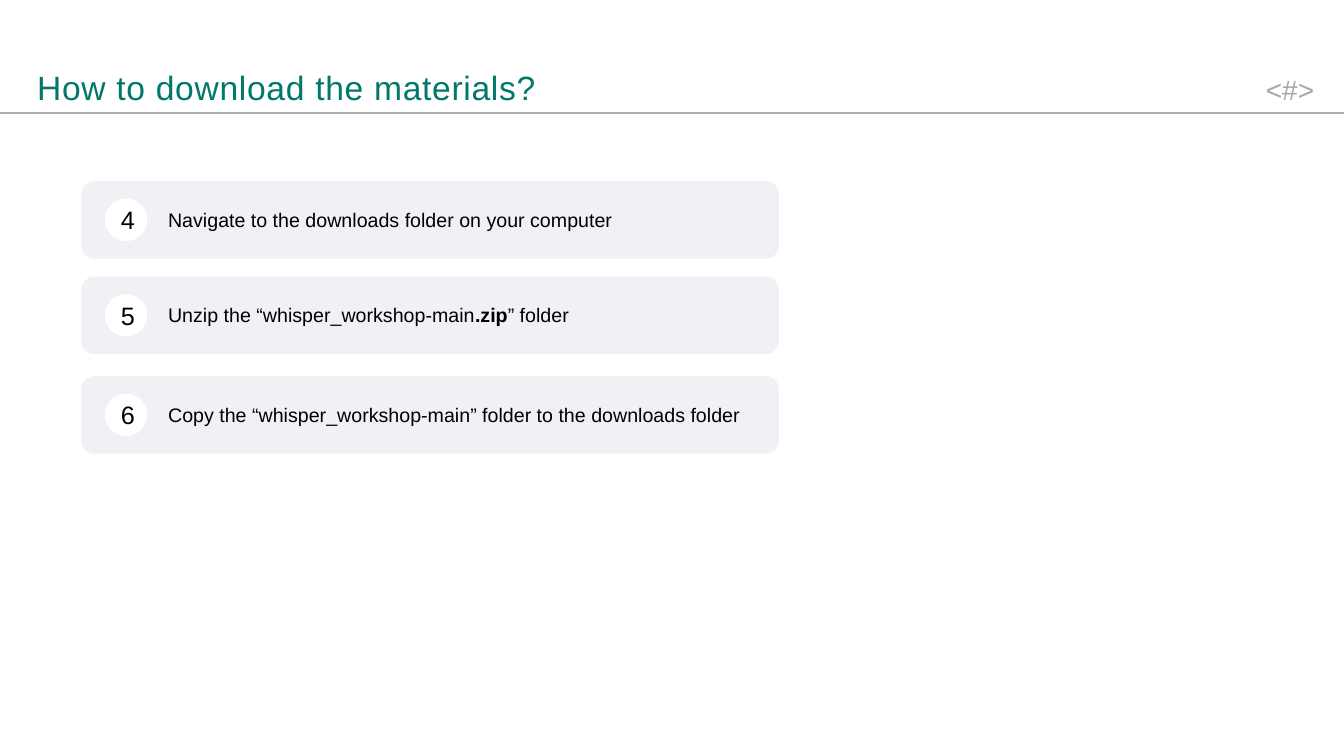
from dataclasses import dataclass

from lxml import etree
from pptx import Presentation
from pptx.dml.color import RGBColor
from pptx.enum import shapes, text
from pptx.oxml import ns
from pptx.slide import Slide
from pptx.text.text import TextFrame
from pptx.util import Pt


@dataclass(frozen=True)
class Theme:
    font: str = "Arial"
    heading: str = "00786A"
    rule: str = "AFABAB"
    page: str = "A6A6A6"
    card: str = "EFF1F5"
    badge: str = "FFFFFF"
    ink: str = "000000"
    heading_size: float = 24
    page_size: float = 20
    number_size: float = 18
    body_size: float = 14


@dataclass(frozen=True)
class Phrase:
    words: str
    bold: bool = False


@dataclass(frozen=True)
class Step:
    number: int
    top: float
    phrases: tuple[Phrase, ...]
    text_width: float = 396


THEME = Theme()
SLIDE_WIDTH, SLIDE_HEIGHT = 960, 540
RULE_TOP = 80.7
CARD_LEFT, CARD_WIDTH, CARD_HEIGHT = 58.1, 498.2, 55.4
BADGE_LEFT, BADGE_SIZE = 74.9, 30.4
TEXT_LEFT, TEXT_HEIGHT = 113, 24.2

STEPS = (
    Step(4, 129.4, (Phrase("Navigate to the downloads folder on your computer"),)),
    Step(5, 197.6, (
        Phrase("Unzip the “whisper_workshop-main"),
        Phrase(".zip", bold=True),
        Phrase("” folder"),
    )),
    Step(6, 268.7, (
        Phrase("Copy the “whisper_workshop-main” folder to the downloads folder"),
    ), text_width=438.5),
)


def write(frame: TextFrame, *phrases: Phrase, size: float, color: str,
          align: text.PP_ALIGN = text.PP_ALIGN.LEFT,
          anchor: text.MSO_ANCHOR = text.MSO_ANCHOR.TOP,
          spacing: float = 0) -> None:
    frame.word_wrap = True
    frame.vertical_anchor = anchor
    line = frame.paragraphs[0]
    line.alignment = align
    for phrase in phrases:
        run = line.add_run()
        run.text = phrase.words
        run.font.name = THEME.font
        run.font.size = Pt(size)
        run.font.bold = phrase.bold
        run.font.color.rgb = RGBColor.from_string(color)
        if spacing:
            run.font._element.set("spc", str(round(spacing * 100)))


def add_text_frame(slide: Slide, left: float, top: float,
                   width: float, height: float) -> TextFrame:
    return slide.shapes.add_textbox(
        Pt(left), Pt(top), Pt(width), Pt(height)).text_frame


def add_panel(slide: Slide, kind: shapes.MSO_SHAPE, left: float, top: float,
              width: float, height: float, fill: str) -> TextFrame:
    panel = slide.shapes.add_shape(kind, Pt(left), Pt(top), Pt(width), Pt(height))
    panel.shadow.inherit = False
    panel.fill.solid()
    panel.fill.fore_color.rgb = RGBColor.from_string(fill)
    panel.line.fill.background()
    return panel.text_frame


def add_header(slide: Slide) -> None:
    rule = slide.shapes.add_connector(
        shapes.MSO_CONNECTOR.STRAIGHT, Pt(0), Pt(RULE_TOP), Pt(SLIDE_WIDTH), Pt(RULE_TOP))
    rule.line.width = Pt(1)
    rule.line.color.rgb = RGBColor.from_string(THEME.rule)
    etree.SubElement(rule._element.spPr, ns.qn("a:effectLst"))

    page = add_text_frame(slide, 892, 48.2, 59, 31.7)
    write(page, Phrase("<#>"), size=THEME.page_size, color=THEME.page,
          align=text.PP_ALIGN.CENTER)

    heading = add_text_frame(slide, 19.4, 43.2, 817.2, 37.4)
    heading.margin_top = heading.margin_bottom = Pt(2.9)
    write(heading, Phrase("How to download the materials?"),
          size=THEME.heading_size, color=THEME.heading,
          anchor=text.MSO_ANCHOR.MIDDLE, spacing=0.5)


def add_step(slide: Slide, step: Step) -> None:
    add_panel(slide, shapes.MSO_SHAPE.ROUNDED_RECTANGLE, CARD_LEFT, step.top,
              CARD_WIDTH, CARD_HEIGHT, THEME.card)
    badge = add_panel(slide, shapes.MSO_SHAPE.OVAL, BADGE_LEFT,
                      step.top + (CARD_HEIGHT - BADGE_SIZE) / 2,
                      BADGE_SIZE, BADGE_SIZE, THEME.badge)
    write(badge, Phrase(str(step.number)), size=THEME.number_size, color=THEME.ink,
          align=text.PP_ALIGN.CENTER, anchor=text.MSO_ANCHOR.MIDDLE)
    instruction = add_text_frame(slide, TEXT_LEFT,
                                 step.top + (CARD_HEIGHT - TEXT_HEIGHT) / 2,
                                 step.text_width, TEXT_HEIGHT)
    write(instruction, *step.phrases, size=THEME.body_size, color=THEME.ink)


def main() -> None:
    deck = Presentation()
    deck.slide_width, deck.slide_height = Pt(SLIDE_WIDTH), Pt(SLIDE_HEIGHT)
    slide = deck.slides.add_slide(deck.slide_layouts[6])
    add_header(slide)
    for step in STEPS:
        add_step(slide, step)
    deck.save("out.pptx")


if __name__ == "__main__":
    main()
